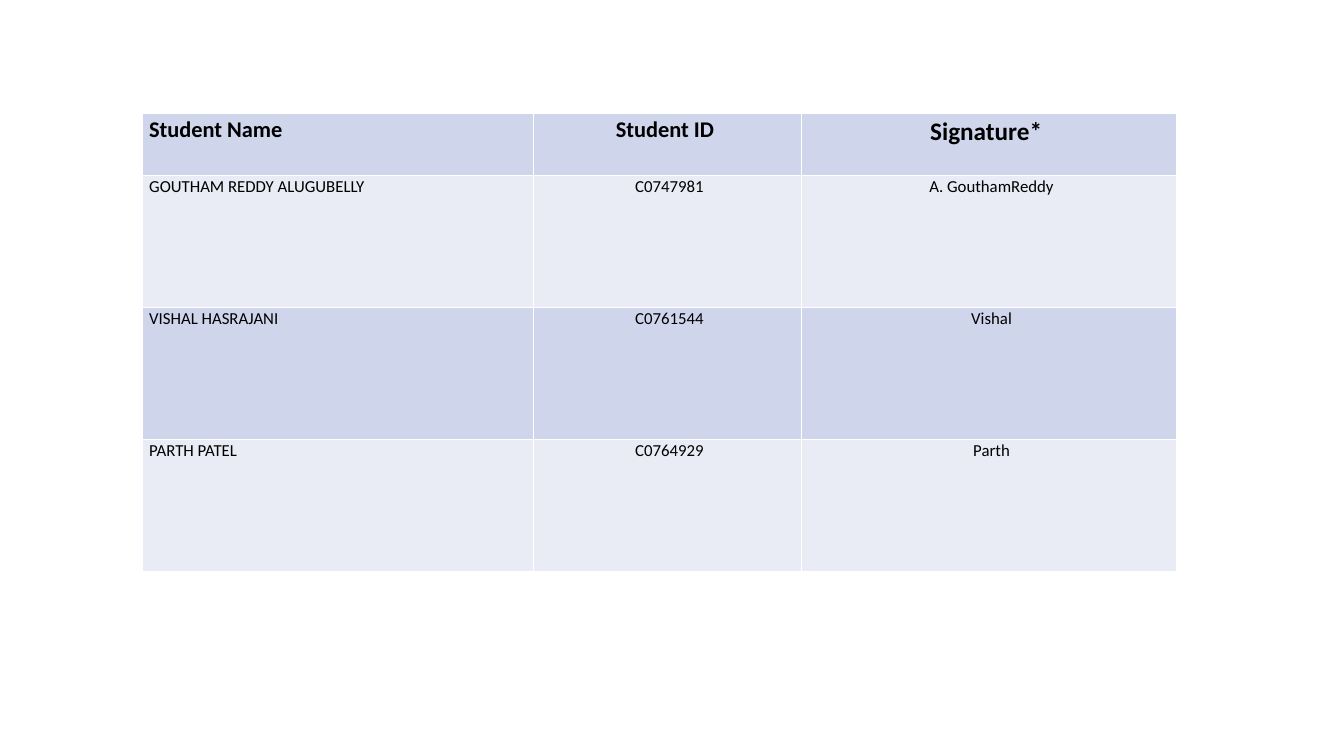
from dataclasses import dataclass

from lxml.etree import SubElement
from pptx import Presentation
from pptx.dml.color import RGBColor
from pptx.enum.text import PP_ALIGN
from pptx.oxml.ns import qn
from pptx.table import _Cell
from pptx.util import Inches, Pt


@dataclass
class Column:
    """A column with its head, entries and layout."""
    head: str
    size: int
    width: float
    align: PP_ALIGN
    indent: float
    items: tuple[str, ...]


COLUMNS = (
    Column("Student Name ", 16, 3.88, PP_ALIGN.LEFT, 0,
           ("GOUTHAM REDDY ALUGUBELLY", "VISHAL HASRAJANI", "PARTH PATEL")),
    Column("Student ID ", 16, 2.66, PP_ALIGN.CENTER, 0.04,
           ("C0747981", "C0761544", "C0764929")),
    Column("Signature* ", 18, 3.72, PP_ALIGN.CENTER, 0.05,
           ("A. GouthamReddy", "Vishal", "Parth")),
)
HEIGHTS = (0.61, 1.31, 1.31, 1.31)
BANDS = ("CFD5EA", "E9EBF5")


def color(code: str) -> RGBColor:
    """Turn a hex string into a colour."""
    return RGBColor.from_string(code)


def border(cell: _Cell, code: str) -> None:
    """Rule all four sides of a cell."""
    props = cell._tc.get_or_add_tcPr()
    for side in "LRTB":
        line = SubElement(props, qn(f"a:ln{side}"), w=str(Pt(1)))
        fill = SubElement(line, qn("a:solidFill"))
        SubElement(fill, qn("a:srgbClr"), val=code)


def write(cell: _Cell, text: str, col: Column, head: bool, band: str) -> None:
    """Fill one cell with styled text."""
    border(cell, "FFFFFF")
    cell.fill.solid()
    cell.fill.fore_color.rgb = color(band)
    cell.margin_left = cell.margin_right = Inches(0.07)
    cell.margin_top = cell.margin_bottom = 0
    cell.text = text
    para = cell.text_frame.paragraphs[0]
    para.alignment = col.align
    para.line_spacing = 1.07
    font = para.font
    font.name = "Calibri"
    font.size = Pt(col.size if head else 12)
    font.bold = head
    font.color.rgb = color("000000")
    if col.indent and not head:
        para._p.get_or_add_pPr().set("marL", str(Inches(col.indent)))


def main() -> None:
    """Build and save the student list."""
    deck = Presentation()
    deck.slide_width, deck.slide_height = Inches(13.33), Inches(7.5)
    slide = deck.slides.add_slide(deck.slide_layouts[6])
    width = sum(col.width for col in COLUMNS)
    table = slide.shapes.add_table(
        len(HEIGHTS), len(COLUMNS), Inches(1.41), Inches(1.13),
        Inches(width), Inches(sum(HEIGHTS))).table
    for row, height in zip(table.rows, HEIGHTS):
        row.height = Inches(height)
    for x, col in enumerate(COLUMNS):
        table.columns[x].width = Inches(col.width)
        for y, text in enumerate((col.head, *col.items)):
            write(table.cell(y, x), text, col, y == 0, BANDS[y % 2])
    deck.save("out.pptx")


main()
